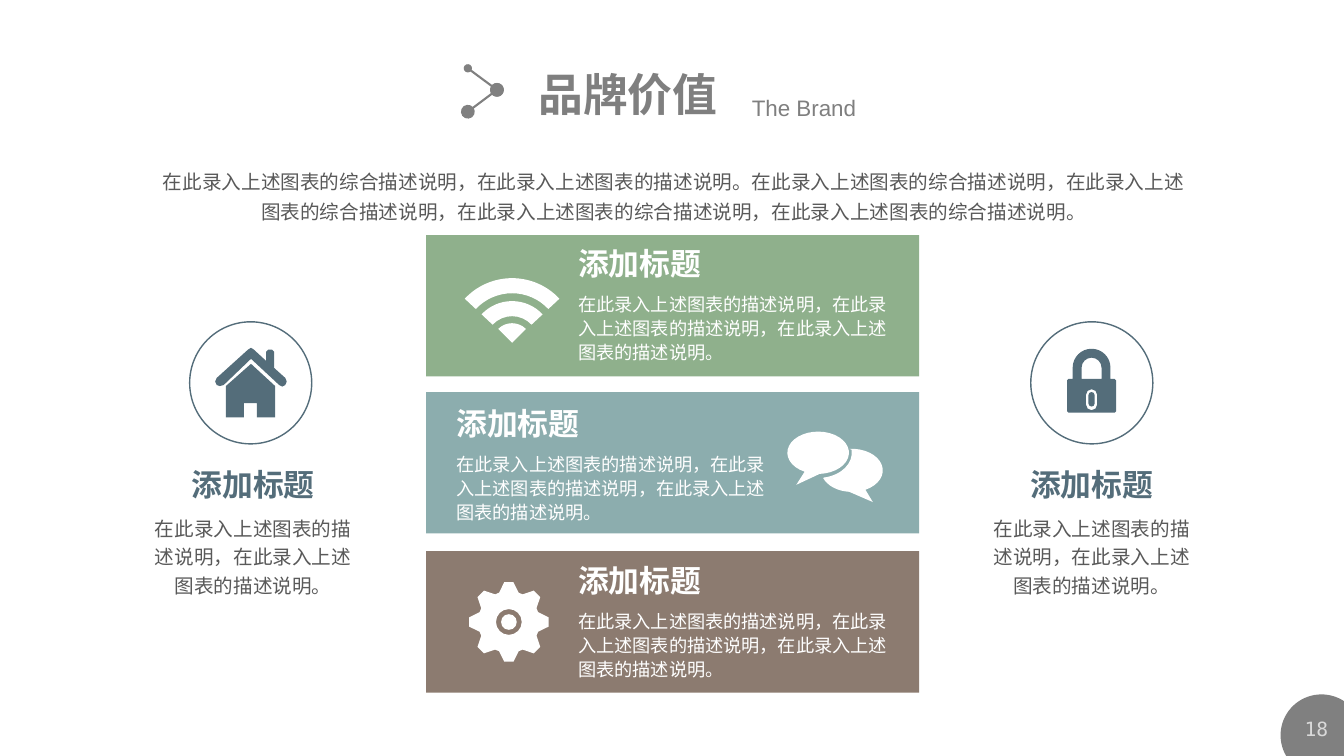
from math import ceil, cos, radians, sin, tan

from lxml import etree
from pptx import Presentation
from pptx.dml.color import RGBColor
from pptx.enum.shapes import MSO_CONNECTOR, MSO_SHAPE
from pptx.enum.text import MSO_ANCHOR, PP_ALIGN
from pptx.oxml.ns import qn
from pptx.util import Pt

LEFT, CENTER = PP_ALIGN.LEFT, PP_ALIGN.CENTER
TOP = MSO_ANCHOR.TOP
STRAIGHT = MSO_CONNECTOR.STRAIGHT
RECTANGLE, OVAL = MSO_SHAPE.RECTANGLE, MSO_SHAPE.OVAL

WHITE = RGBColor(0xFF, 0xFF, 0xFF)
GRAY = RGBColor(0x80, 0x80, 0x80)
TITLE_GRAY = RGBColor(0x7F, 0x7F, 0x7F)
TEXT_GRAY = RGBColor(0x59, 0x59, 0x59)
PAGE_GRAY = RGBColor(0xD9, 0xD9, 0xD9)
SLATE = RGBColor(0x54, 0x6D, 0x7A)
GREEN = RGBColor(0x8F, 0xB0, 0x8C)
TEAL = RGBColor(0x8C, 0xAD, 0xAE)
BROWN = RGBColor(0x8C, 0x7B, 0x70)

CJK_FONT = "Noto Sans CJK SC"
SLIDE_WIDTH, SLIDE_HEIGHT = 960, 540

HEADING = "添加标题"
SIDE_TEXT = "在此录入上述图表的描述说明，在此录入上述图表的描述说明。"
PANEL_TEXT = "在此录入上述图表的描述说明，在此录入上述图表的描述说明，在此录入上述图表的描述说明。"
SUMMARY = (
    "在此录入上述图表的综合描述说明，在此录入上述图表的描述说明。"
    "在此录入上述图表的综合描述说明，在此录入上述图表的综合描述说明，"
    "在此录入上述图表的综合描述说明，在此录入上述图表的综合描述说明。"
)

HOUSE_BODY = [
    (179.3, 259.9), (196.6, 275.8), (196.6, 298.1), (183.6, 298.1), (183.6, 288),
    (174.2, 288), (174.2, 298.1), (161.3, 298.1), (161.3, 275.8),
]
HOUSE_ROOF = [
    (179.3, 248.4), (181.4, 249.8), (190.1, 257.8), (190.1, 251.3), (191.5, 249.8),
    (194.4, 249.8), (195.8, 251.3), (195.8, 262.8), (203.8, 270), (204.8, 272.5),
    (203.8, 275), (201.6, 276.1), (199.4, 275), (179.3, 256.3), (159.8, 275),
    (157, 275.8), (154.8, 275), (153.7, 272.5), (154.8, 270), (177.1, 249.8),
]


def points(*values):
    return [Pt(value) for value in values]


def write_text(box, text, *, size, color, font=CJK_FONT, bold=False, align=LEFT, spacing=None):
    frame = box.text_frame
    frame.word_wrap = True
    frame.vertical_anchor = TOP
    para = frame.paragraphs[0]
    para.alignment = align
    if spacing:
        para.line_spacing = spacing
    span = para.add_run()
    span.text = text
    span.font.name = font
    span.font.size = Pt(size)
    span.font.bold = bold
    span.font.color.rgb = color
    east_asian = etree.SubElement(span.font._element, qn("a:ea"))
    east_asian.set("typeface", CJK_FONT)


def add_text(slide, text, left, top, width, height, **style):
    box = slide.shapes.add_textbox(*points(left, top, width, height))
    write_text(box, text, **style)


def paint(shape, fill=None, line=None):
    shape.shadow.inherit = False
    if fill is None:
        shape.fill.background()
    else:
        shape.fill.solid()
        shape.fill.fore_color.rgb = fill
    if line is None:
        shape.line.fill.background()
    else:
        shape.line.color.rgb = line
        shape.line.width = Pt(1)


def add_preset(slide, kind, left, top, width, height, fill=None, line=None):
    shape = slide.shapes.add_shape(kind, *points(left, top, width, height))
    paint(shape, fill, line)


def add_outline(slide, fill, *contours):
    """A contour holds corners (x, y) and curves (x1, y1, x2, y2, x, y)."""
    builder = None
    segments = []
    for first, *rest in contours:
        if builder is None:
            builder = slide.shapes.build_freeform(*points(*first))
        else:
            builder.move_to(*points(*first))
        vertices = [points(*segment[i:i + 2]) for segment in rest for i in range(0, len(segment), 2)]
        builder.add_line_segments(vertices, close=True)
        segments += rest
    shape = builder.convert_to_shape()
    paint(shape, fill)

    # Join each three steps of a curve into one Bézier segment
    steps = iter(list(shape._element.iter(qn("a:lnTo"))))
    for segment in segments:
        step = next(steps)
        if len(segment) == 6:
            step.tag = qn("a:cubicBezTo")
            for extra in (next(steps), next(steps)):
                step.append(extra[0])
                extra.getparent().remove(extra)


def arc(x, y, radius_x, radius_y, start, end):
    """Start point and curves on an ellipse; degrees clockwise from the right."""
    count = ceil(abs(end - start) / 90)
    turn = radians(end - start) / count
    pull = 4 / 3 * tan(turn / 4)
    angle = radians(start)
    segments = [(x + radius_x * cos(angle), y + radius_y * sin(angle))]
    for _ in range(count):
        after = angle + turn
        segments.append((
            x + radius_x * (cos(angle) - pull * sin(angle)),
            y + radius_y * (sin(angle) + pull * cos(angle)),
            x + radius_x * (cos(after) + pull * sin(after)),
            y + radius_y * (sin(after) - pull * cos(after)),
            x + radius_x * cos(after), y + radius_y * sin(after),
        ))
        angle = after
    return segments


def pill(x, top, bottom, radius):
    return arc(x, top, radius, radius, 180, 360) + arc(x, bottom, radius, radius, 0, 180)


def add_link(slide, start, end, head_size, tail_size):
    link = slide.shapes.add_connector(STRAIGHT, *points(*start, *end))
    link.line.color.rgb = GRAY
    link.line.width = Pt(1.5)
    for tag, size in (("a:headEnd", head_size), ("a:tailEnd", tail_size)):
        dot = etree.SubElement(link.line._get_or_add_ln(), qn(tag))
        for name, value in (("type", "oval"), ("w", size), ("len", size)):
            dot.set(name, value)
    etree.SubElement(link._element.spPr, qn("a:effectLst"))


def add_wifi(slide):
    x, y = 365.8, 244.9
    add_outline(slide, WHITE, [(x, y)] + arc(x, y, 14, 14, 225, 315))
    for outer, inner in ((29.8, 19), (46.2, 35.4)):
        band = arc(x, y, outer, outer, 223, 317) + arc(x, y, inner, inner, 317, 223)
        add_outline(slide, WHITE, band)


def add_chat(slide):
    x, y = 584.4, 323.4
    right_x, right_y = 608.6, 336
    add_outline(
        slide, WHITE,
        arc(right_x, right_y, 22, 15.4, -95, 64) + [(623.5, 358.6)]
        + arc(right_x, right_y, 22, 15.4, 95, 159) + arc(x, y, 24.1, 18, 80, -7),
    )
    add_outline(slide, WHITE, arc(x, y, 22, 15.1, 116, 447) + [(568.8, 346.3)])


def add_gear(slide):
    x, y = 363.5, 444.3
    tooth = [(20.9, -7), (28.4, -3.3), (28.4, 3.3), (20.9, 7)]
    rim = []
    for index in range(8):
        turn = radians(45 * index)
        rim += [(x + a * cos(turn) - b * sin(turn), y + a * sin(turn) + b * cos(turn))
                for a, b in tooth]
    add_outline(slide, WHITE, rim, arc(x, y, 9.2, 9.2, 360, 0))
    add_preset(slide, OVAL, x - 5.6, y - 5.6, 11.2, 11.2, WHITE)


def add_house(slide):
    add_outline(slide, SLATE, HOUSE_BODY, HOUSE_ROOF)


def add_lock(slide):
    x, y, top, bottom = 779.7, 262.6, 270.7, 294.7
    body = arc(x, y, 13.5, 13.5, 180, 360) + [
        (x + 13.5, top), (x + 16.5, top), (x + 17.5, top + 1), (x + 17.5, bottom - 1),
        (x + 16.5, bottom), (x - 16.5, bottom), (x - 17.5, bottom - 1),
        (x - 17.5, top + 1), (x - 16.5, top), (x - 13.5, top),
    ]
    gap = arc(x, y, 7.1, 7.1, 360, 180) + [(x - 7.1, top), (x + 7.1, top)]
    add_outline(slide, SLATE, body, gap, pill(x, 282, 289, 4))
    add_outline(slide, SLATE, pill(x, 282.2, 288.2, 2.2))


def add_panel(slide, color, top, text_left, heading_top, add_icon):
    add_preset(slide, RECTANGLE, 304.4, top, 352.2, 101, color)
    add_icon(slide)
    add_text(slide, HEADING, text_left, heading_top, 122.4, 33.8, size=22, color=WHITE, bold=True)
    add_text(slide, PANEL_TEXT, text_left, heading_top + 33.1, 242, 59,
             size=13, color=WHITE, spacing=1.1)


def add_side_item(slide, circle_left, text_left, add_icon):
    add_preset(slide, OVAL, circle_left, 229.9, 87.2, 87.2, line=SLATE)
    add_icon(slide)
    add_text(slide, HEADING, text_left + 16.6, 329, 122.4, 33.8,
             size=22, color=SLATE, bold=True, align=CENTER)
    add_text(slide, SIDE_TEXT, text_left, 362.4, 155.6, 68.4,
             size=14, color=TEXT_GRAY, align=CENTER, spacing=1.2)


def add_page_number(slide):
    corner = arc(943.9, 525.2, 29.2, 29.2, 149.5, 303.4) + [(SLIDE_WIDTH, SLIDE_HEIGHT)]
    add_outline(slide, GRAY, corner)
    add_text(slide, "18", 922.3, 508.2, 36, 22.3,
             size=14, color=PAGE_GRAY, font="DejaVu Sans Mono", align=CENTER)


def add_header(slide):
    title = slide.shapes.title
    title.left, title.top, title.width, title.height = points(377.3, 44.3, 148, 46.1)
    write_text(title, "品牌价值", size=32, color=TITLE_GRAY, font="Arial", bold=True)
    add_text(slide, "The Brand", 529.9, 63.6, 181.4, 26.6, size=16, color=TITLE_GRAY, font="Arial")
    middle = (355, 64.2)
    add_link(slide, (334.2, 48.8), middle, "med", "lg")
    add_link(slide, middle, (334.2, 79.8), "lg", "lg")


def main():
    deck = Presentation()
    deck.slide_width, deck.slide_height = points(SLIDE_WIDTH, SLIDE_HEIGHT)
    slide = deck.slides.add_slide(deck.slide_layouts[5])

    # Header and summary
    add_page_number(slide)
    add_header(slide)
    add_text(slide, SUMMARY, 106.6, 112.6, 749.5, 51.1,
             size=14, color=TEXT_GRAY, align=CENTER, spacing=1.3)

    # Three coloured panels
    add_panel(slide, GREEN, 167.9, 406, 171.4, add_wifi)
    add_panel(slide, TEAL, 280, 319, 285.4, add_chat)
    add_panel(slide, BROWN, 393.7, 406, 397.8, add_gear)

    # Side items
    add_side_item(slide, 135.5, 103, add_house)
    add_side_item(slide, 736.3, 702, add_lock)

    deck.save("out.pptx")


if __name__ == "__main__":
    main()
